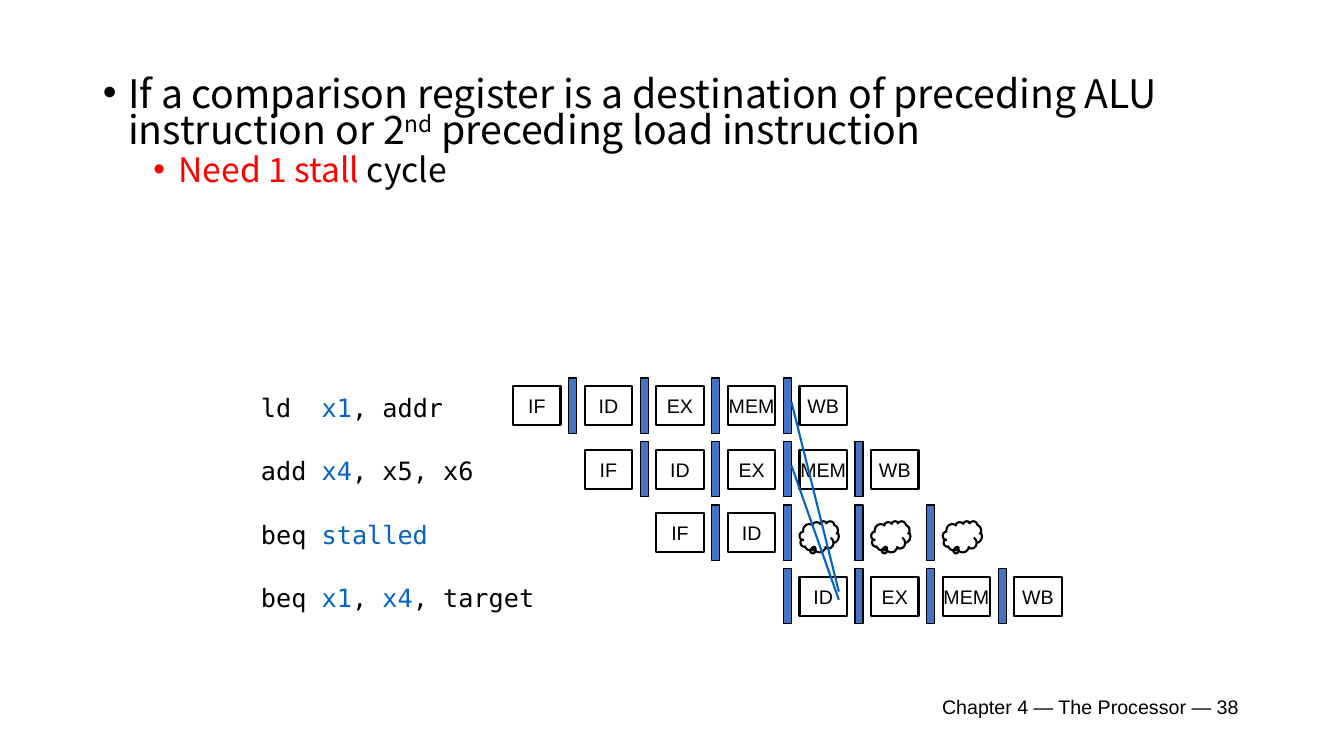
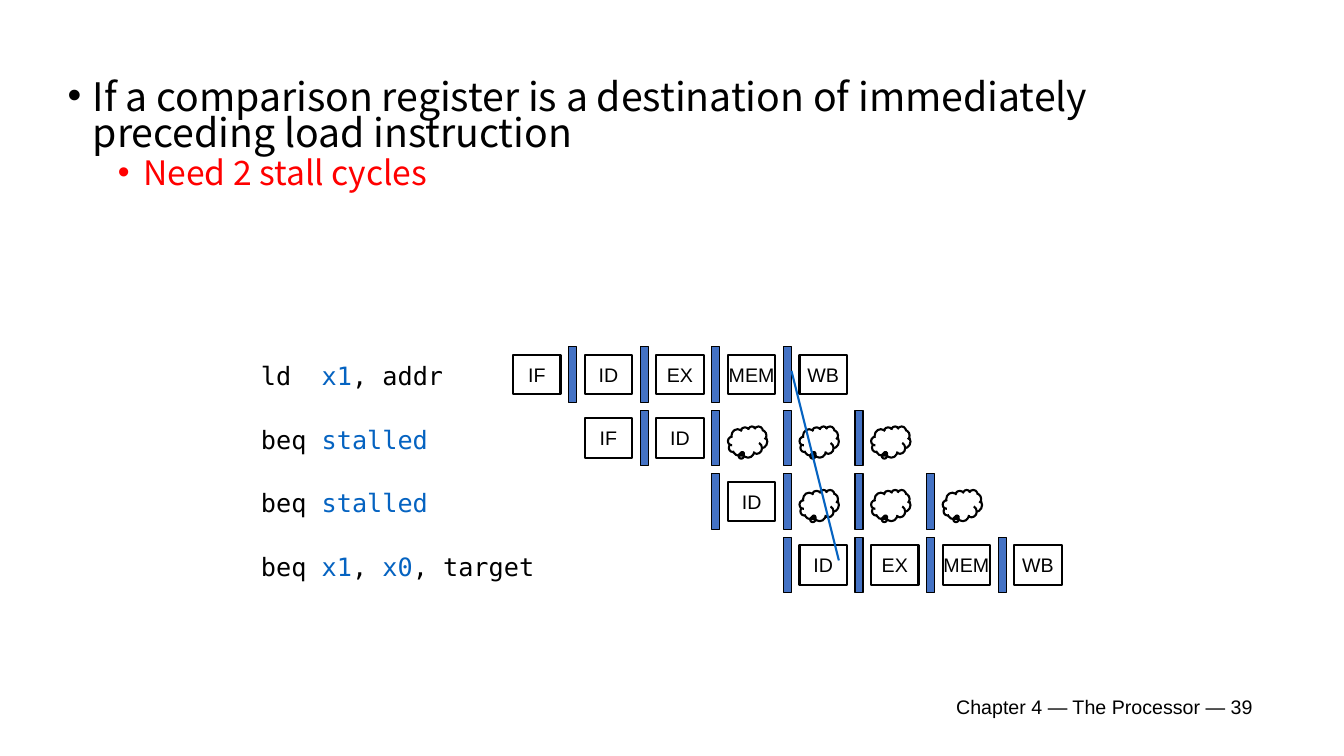
from lxml.etree import SubElement
from pptx import Presentation
from pptx.dml.color import RGBColor
from pptx.enum.shapes import MSO_CONNECTOR, MSO_SHAPE
from pptx.enum.text import MSO_ANCHOR, MSO_AUTO_SIZE, PP_ALIGN
from pptx.oxml.ns import qn
from pptx.util import Pt

PX = 9144
COLOURS = {"ink": "000000", "accent": "0563C1", "register": "4472C4", "alert": "FF0000"}
FONTS = {"body": "Noto Sans CJK SC", "label": "Arial", "code": "DejaVu Sans Mono"}
LEVELS = [{"size": 28, "indent": 25, "before": 0}, {"size": 24, "indent": 75, "before": 5}]
STAGE_LEFT, STAGE_PITCH, ROW_PITCH = 260, 71, 63
STALL = "stall"

SLIDES = [
    {
        "body_box": (92, 74, 1086, 260),
        "bullets": [
            [("If a comparison register is a destination of preceding ALU instruction or 2", "ink", 0),
             ("nd", "ink", 30),
             (" preceding load instruction", "ink", 0)],
            [("Need 1 stall ", "alert", 0), ("cycle", "ink", 0)],
        ],
        "diagram_box": (249, 375, 803, 244),
        "rows": [
            ("ld  |x1|, addr", 0, ["IF", "ID", "EX", "MEM", "WB"]),
            ("add |x4|, x5, x6", 1, ["IF", "ID", "EX", "MEM", "WB"]),
            ("beq |stalled", 2, ["IF", "ID", STALL, STALL, STALL]),
            ("beq |x1|, |x4|, target", 4, ["ID", "EX", "MEM", "WB"]),
        ],
        "forwards": [(0, 3, 23), (1, 3, 31)],
        "footer_box": (914, 681, 335, 40),
        "number": 38,
    },
    {
        "body_box": (57, 77, 1137, 260),
        "bullets": [
            [("If a comparison register is a destination of immediately preceding load instruction", "ink", 0)],
            [("Need 2 stall cycles", "alert", 0)],
        ],
        "diagram_box": (249, 344, 803, 244),
        "rows": [
            ("ld  |x1|, addr", 0, ["IF", "ID", "EX", "MEM", "WB"]),
            ("beq |stalled", 1, ["IF", "ID", STALL, STALL, STALL]),
            ("beq |stalled", 3, ["ID", STALL, STALL, STALL]),
            ("beq |x1|, |x0|, target", 4, ["ID", "EX", "MEM", "WB"]),
        ],
        "forwards": [(0, 3, 23)],
        "footer_box": (926, 681, 339, 40),
        "number": 39,
    },
]


def emu(*lengths):
    """Turn px lengths into EMU."""
    return [length * PX for length in lengths]


def colour(name):
    """Look up a named colour."""
    return RGBColor.from_string(COLOURS[name])


def add_span(para, text, font, size, ink="ink", raised=0):
    """Append one formatted run to a paragraph."""
    span = para.add_run()
    span.text = text
    span.font.name = FONTS[font]
    span.font.size = Pt(size)
    span.font.color.rgb = colour(ink)
    if raised:
        span._r.get_or_add_rPr().set("baseline", str(raised * 1000))


def add_outline(page, kind, box, weight, fill=None):
    """Add a black-edged preset shape, hollow unless a fill is named."""
    shape = page.shapes.add_shape(kind, *emu(*box))
    shape.shadow.inherit = False
    shape.line.color.rgb = colour("ink")
    shape.line.width = Pt(weight)
    if fill:
        shape.fill.solid()
        shape.fill.fore_color.rgb = colour(fill)
    else:
        shape.fill.background()
    return shape


def add_body(page, box, bullets):
    """Fill the body placeholder with one bullet per level."""
    body = page.placeholders[1]
    body.left, body.top, body.width, body.height = emu(*box)
    frame = body.text_frame
    frame.auto_size = MSO_AUTO_SIZE.NONE
    for level, spans in enumerate(bullets):
        para = frame.add_paragraph() if level else frame.paragraphs[0]
        style = LEVELS[level]
        properties = para._p.get_or_add_pPr()
        properties.set("marL", str(style["indent"] * PX))
        properties.set("indent", str(-25 * PX))
        SubElement(properties, qn("a:buFont")).set("typeface", FONTS["label"])
        SubElement(properties, qn("a:buChar")).set("char", "•")
        para.level = level
        para.line_spacing = 0.76
        para.space_before = Pt(style["before"])
        for text, ink, raised in spans:
            add_span(para, text, "body", style["size"], ink, raised)


def add_code(page, left, top, marked):
    """Write an instruction whose every second |-separated part is accented."""
    box = page.shapes.add_textbox(*emu(left, top, 295, 40))
    box.text_frame.word_wrap = False
    for index, text in enumerate(marked.split("|")):
        add_span(box.text_frame.paragraphs[0], text, "code", 18, "accent" if index % 2 else "ink")


def add_stage(page, left, top, name):
    """Draw one pipeline stage, or a cloud for a stall."""
    if name == STALL:
        cloud = add_outline(page, MSO_SHAPE.CLOUD_CALLOUT, (left, top + 16, 39, 31), 1.5)
        cloud.adjustments[0] = -0.13
        cloud.adjustments[1] = 0.36
        return
    box = add_outline(page, MSO_SHAPE.RECTANGLE, (left, top + 8, 47, 39), 1.5)
    frame = box.text_frame
    frame.word_wrap = False
    frame.vertical_anchor = MSO_ANCHOR.MIDDLE
    frame.paragraphs[0].alignment = PP_ALIGN.CENTER
    add_span(frame.paragraphs[0], name, "label", 14)


def add_forward(page, start, end):
    """Draw a forwarding line between two points."""
    line = page.shapes.add_connector(MSO_CONNECTOR.STRAIGHT, *emu(*start, *end))
    line.line.color.rgb = colour("accent")
    line.line.width = Pt(1.5)
    SubElement(line._element.spPr, qn("a:effectLst"))


def add_pipeline(page, box, rows, forwards):
    """Draw the instruction rows, their stages and the forwarding lines."""
    left, top, _, _ = box
    for row, (code, first, stages) in enumerate(rows):
        row_top = top + row * ROW_PITCH
        add_code(page, left, row_top + 9, code)
        for column, name in enumerate(stages, first):
            stage_left = left + STAGE_LEFT + column * STAGE_PITCH
            add_stage(page, stage_left, row_top, name)
            if name != "IF":
                bar = (stage_left - 16, row_top, 8, 55)
                add_outline(page, MSO_SHAPE.RECTANGLE, bar, 0.75, "register")
    target_left = left + STAGE_LEFT + 4 * STAGE_PITCH
    for source, target, drop in forwards:
        add_forward(page, (target_left - 8, top + source * ROW_PITCH + 24),
                    (target_left + 39, top + target * ROW_PITCH + drop))


def add_footer(page, box, number):
    """Write the chapter footer with the page number."""
    footer = page.shapes.add_textbox(*emu(*box))
    frame = footer.text_frame
    frame.word_wrap = True
    frame.vertical_anchor = MSO_ANCHOR.MIDDLE
    frame.paragraphs[0].alignment = PP_ALIGN.CENTER
    add_span(frame.paragraphs[0], f"Chapter 4 — The Processor — {number}", "label", 14)


def add_hazard_slide(deck, content):
    """Build one branch hazard slide."""
    page = deck.slides.add_slide(deck.slide_layouts[1])
    title = page.shapes.title._element
    title.getparent().remove(title)
    add_body(page, content["body_box"], content["bullets"])
    add_footer(page, content["footer_box"], content["number"])
    add_pipeline(page, content["diagram_box"], content["rows"], content["forwards"])


def main():
    """Build and save the deck."""
    deck = Presentation()
    deck.slide_width, deck.slide_height = emu(1333, 750)
    for content in SLIDES:
        add_hazard_slide(deck, content)
    deck.save("out.pptx")


if __name__ == "__main__":
    main()
